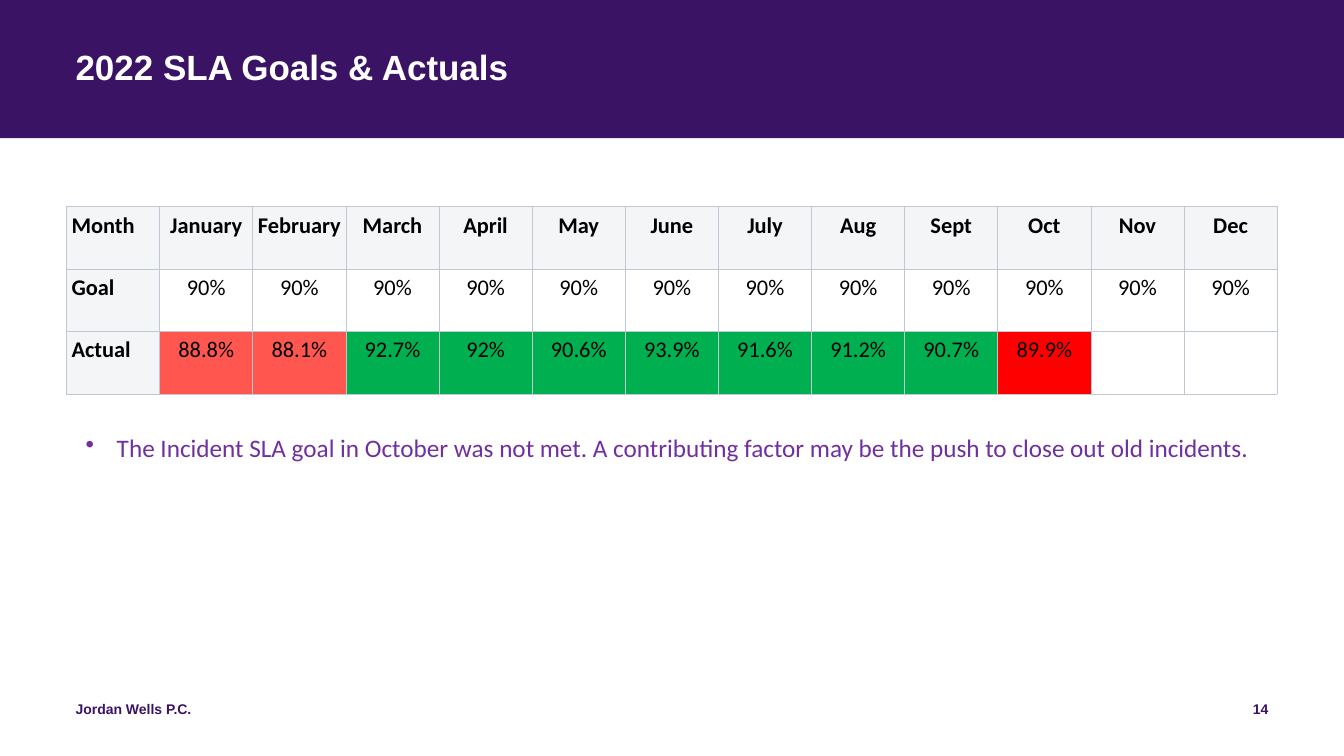
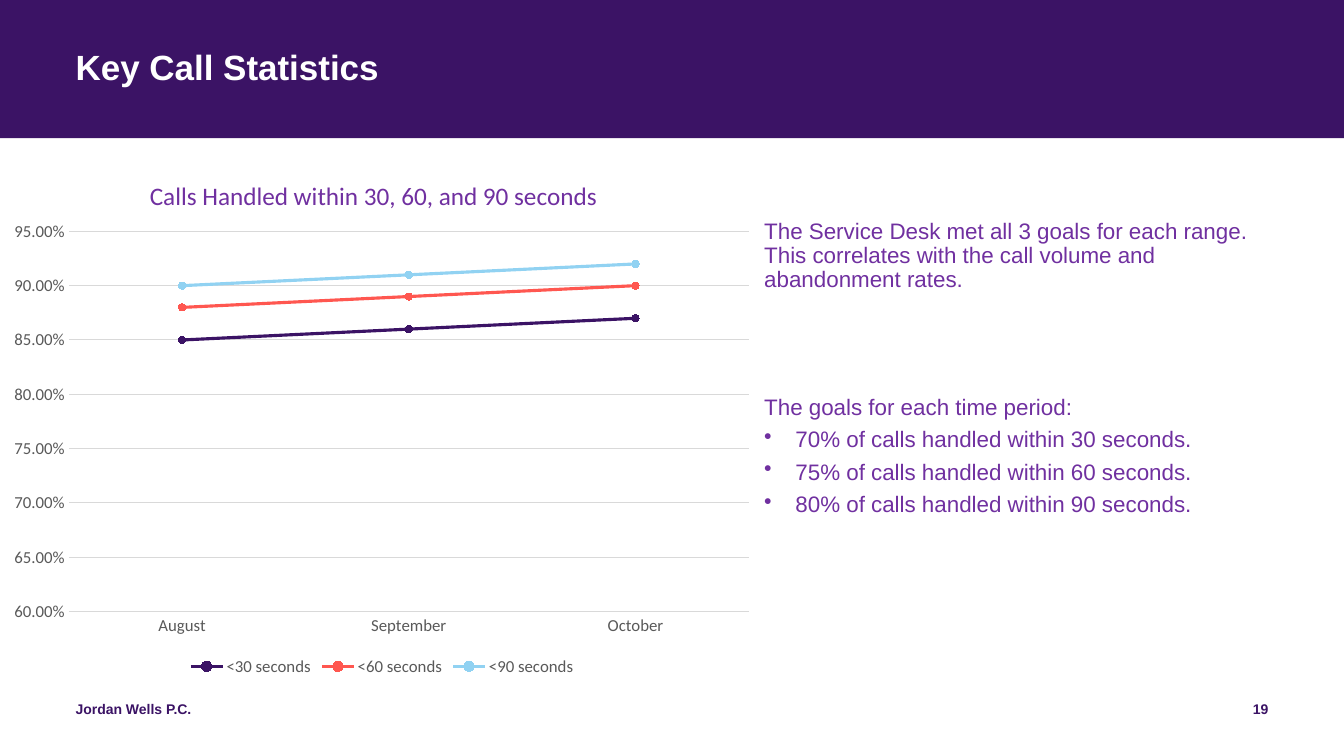
import lxml.etree
import pptx
import pptx.chart.data
import pptx.dml.color
import pptx.enum.chart
import pptx.enum.shapes
import pptx.enum.text
import pptx.oxml
import pptx.oxml.ns
import pptx.util

Inches = pptx.util.Inches
Pt = pptx.util.Pt
RGBColor = pptx.dml.color.RGBColor
Align = pptx.enum.text.PP_ALIGN
qn = pptx.oxml.ns.qn

# Shared look
WIDTH, HEIGHT = 13.33, 7.5
MARGIN = 0.75
CONTENT_WIDTH = WIDTH - 2 * MARGIN
BAND_HEIGHT = 1.37
HEADING_FONT, BODY_FONT = "Arial", "Calibri"
FOOTER_TEXT = "Jordan Wells P.C."

PURPLE = RGBColor(0x3B, 0x13, 0x65)
VIOLET = RGBColor(0x70, 0x30, 0xA0)
CORAL = RGBColor(0xFF, 0x57, 0x50)
SKY = RGBColor(0x91, 0xD2, 0xF2)
GREEN = RGBColor(0x00, 0xB0, 0x50)
RED = RGBColor(0xFF, 0x00, 0x00)
WHITE = RGBColor(0xFF, 0xFF, 0xFF)
BLACK = RGBColor(0x00, 0x00, 0x00)
PALE_GREY = RGBColor(0xF4, 0xF5, 0xF7)
BORDER_GREY = RGBColor(0xC1, 0xC7, 0xD0)
GRID_GREY = RGBColor(0xD9, 0xD9, 0xD9)
AXIS_GREY = RGBColor(0x59, 0x59, 0x59)


def style_font(font, name, size, color, bold=False):
    font.name = name
    font.size = Pt(size)
    font.color.rgb = color
    font.bold = bold


def add_run(paragraph, text, *style):
    run = paragraph.add_run()
    run.text = text
    style_font(run.font, *style)


def add_text_frame(slide, box, inset=(0, 0)):
    text_frame = slide.shapes.add_textbox(*map(Inches, box)).text_frame
    text_frame.word_wrap = True
    text_frame.margin_left = text_frame.margin_right = Inches(inset[0])
    text_frame.margin_top = text_frame.margin_bottom = Inches(inset[1])
    return text_frame


def add_bullet(paragraph):
    properties = paragraph._p.get_or_add_pPr()
    properties.set("marL", str(Inches(0.31)))
    properties.set("indent", str(-Inches(0.31)))
    bullet = lxml.etree.SubElement(properties, qn("a:buChar"))
    bullet.set("char", "•")


def add_frame(presentation, title, number):
    """Blank slide with the title band and footer."""
    slide = presentation.slides.add_slide(presentation.slide_layouts[6])

    band = slide.shapes.add_shape(
        pptx.enum.shapes.MSO_SHAPE.RECTANGLE,
        0, 0, Inches(WIDTH), Inches(BAND_HEIGHT))
    band.shadow.inherit = False
    band.fill.solid()
    band.fill.fore_color.rgb = PURPLE
    band.line.fill.background()

    heading = add_text_frame(slide, (MARGIN, 0.5, CONTENT_WIDTH, 0.81))
    heading.paragraphs[0].line_spacing = 0.9
    add_run(heading.paragraphs[0], title, HEADING_FONT, 25, WHITE, True)

    # Footer: firm on the left, page number on the right
    footers = ((FOOTER_TEXT, MARGIN, 4.5, Align.LEFT),
               (str(number), WIDTH - MARGIN - 3, 3, Align.RIGHT))
    for text, left, width, alignment in footers:
        paragraph = add_text_frame(slide, (left, 6.95, width, 0.4)).paragraphs[0]
        paragraph.alignment = alignment
        add_run(paragraph, text, HEADING_FONT, 10, PURPLE, True)
    return slide


def add_borders(cell):
    properties = cell._tc.get_or_add_tcPr()
    for index, side in enumerate(("lnL", "lnR", "lnT", "lnB")):
        line = pptx.oxml.parse_xml(
            f'<a:{side} {pptx.oxml.ns.nsdecls("a")} w="{Pt(0.5)}"><a:solidFill>'
            f'<a:srgbClr val="{BORDER_GREY}"/></a:solidFill></a:{side}>')
        properties.insert(index, line)


def add_sla_table(slide, box, rows, actual_fills):
    left, top, width, height = box
    columns = len(rows[0])
    table = slide.shapes.add_table(
        len(rows), columns, *map(Inches, box)).table
    table.first_row = table.horz_banding = False
    for column in table.columns:
        column.width = Inches(width / columns)
    for row in table.rows:
        row.height = Inches(height / len(rows))

    for row_index, values in enumerate(rows):
        for column_index, value in enumerate(values):
            cell = table.cell(row_index, column_index)
            cell.margin_left = cell.margin_right = Inches(0.05)
            cell.margin_top = cell.margin_bottom = Inches(0.05)
            is_header = row_index == 0 or column_index == 0
            fill = PALE_GREY if is_header else None
            if row_index == len(rows) - 1 and not is_header:
                fill = actual_fills[column_index - 1]
            if fill is None:
                cell.fill.background()
            else:
                cell.fill.solid()
                cell.fill.fore_color.rgb = fill
            add_borders(cell)
            if value:
                paragraph = cell.text_frame.paragraphs[0]
                paragraph.alignment = Align.CENTER if column_index else Align.LEFT
                add_run(paragraph, value, BODY_FONT, 16, BLACK, is_header)


def set_layout(parent, index, **places):
    """Place a chart part by shares of the chart's size."""
    for old_layout in parent.findall(qn("c:layout")):
        parent.remove(old_layout)
    layout = pptx.oxml.parse_xml(
        f'<c:layout {pptx.oxml.ns.nsdecls("c")}><c:manualLayout/></c:layout>')
    parent.insert(index, layout)
    settings = {"xMode": "edge", "yMode": "edge", **places}
    if "w" in places:
        settings = {"layoutTarget": "inner", **settings}
    for name, value in settings.items():
        lxml.etree.SubElement(layout[0], qn(f"c:{name}")).set("val", str(value))


def style_chart_axes(chart):
    no_tick = pptx.enum.chart.XL_TICK_MARK.NONE
    for axis in (chart.category_axis, chart.value_axis):
        axis.major_tick_mark = axis.minor_tick_mark = no_tick
        style_font(axis.tick_labels.font, BODY_FONT, 12, AXIS_GREY)

    values = chart.value_axis
    values.minimum_scale, values.maximum_scale = 0.6, 0.95
    values.major_unit = 0.05
    values.tick_labels.number_format = "0.00%"
    values.tick_labels.number_format_is_linked = False
    values.format.line.fill.background()
    for line in (chart.category_axis.format.line, values.major_gridlines.format.line):
        line.color.rgb = GRID_GREY
        line.width = Pt(0.75)


def add_calls_chart(slide, box, title, months, series_data):
    data = pptx.chart.data.CategoryChartData(number_format="0.00%")
    data.categories = months
    for name, values, _ in series_data:
        data.add_series(name, values)
    chart = slide.shapes.add_chart(
        pptx.enum.chart.XL_CHART_TYPE.LINE_MARKERS,
        *map(Inches, box), data).chart
    style_font(chart.font, BODY_FONT, 10, BLACK)

    chart.has_title = True
    add_run(chart.chart_title.text_frame.paragraphs[0],
            title, BODY_FONT, 18, VIOLET)
    chart.chart_title.include_in_layout = False
    set_layout(chart.chart_title._element, 1, x=0.19, y=0.04)
    set_layout(chart._chartSpace.chart.plotArea, 0, x=0.09, y=0.15, w=0.89, h=0.72)
    style_chart_axes(chart)

    chart.has_legend = True
    chart.legend.position = pptx.enum.chart.XL_LEGEND_POSITION.BOTTOM
    chart.legend.include_in_layout = False
    style_font(chart.legend.font, BODY_FONT, 12, AXIS_GREY)

    chart.plots[0].vary_by_categories = False
    for series, (_, _, color) in zip(chart.plots[0].series, series_data):
        series.smooth = False
        series.format.line.color.rgb = color
        series.format.line.width = Pt(2.25)
        series.marker.style = pptx.enum.chart.XL_MARKER_STYLE.CIRCLE
        series.marker.size = 5
        series.marker.format.fill.solid()
        series.marker.format.fill.fore_color.rgb = color
        series.marker.format.line.color.rgb = color


def add_goal_notes(slide, box, summary, heading, goals):
    text_frame = add_text_frame(slide, box)
    for index, text in enumerate((summary, heading, *goals)):
        paragraph = text_frame.add_paragraph() if index else text_frame.paragraphs[0]
        paragraph.line_spacing = 0.9
        paragraph.space_after = Pt(6)
        if text == heading:
            paragraph.space_before = Pt(68)
        if text in goals:
            add_bullet(paragraph)
        add_run(paragraph, text, HEADING_FONT, 16, VIOLET)


def build_sla_slide(presentation):
    slide = add_frame(presentation, "2022 SLA Goals & Actuals", 14)
    rows = (
        ("Month", "January", "February", "March", "April", "May", "June",
         "July", "Aug", "Sept", "Oct", "Nov", "Dec"),
        ("Goal", *["90%"] * 12),
        ("Actual", "88.8%", "88.1%", "92.7%", "92%", "90.6%", "93.9%",
         "91.6%", "91.2%", "90.7%", "89.9%", "", ""),
    )
    actual_fills = [CORAL] * 2 + [GREEN] * 7 + [RED] + [None] * 2
    add_sla_table(slide, (0.66, 2.05, 12.01, 1.86), rows, actual_fills)

    # Comment under the table
    comment = add_text_frame(slide, (MARGIN, 4.24, CONTENT_WIDTH, 0.4), (0.1, 0.05))
    add_bullet(comment.paragraphs[0])
    add_run(comment.paragraphs[0],
            "The Incident SLA goal in October was not met. A contributing "
            "factor may be the push to close out old incidents.",
            BODY_FONT, 18, VIOLET)


def build_calls_slide(presentation):
    slide = add_frame(presentation, "Key Call Statistics", 19)
    split = WIDTH - MARGIN - 5
    add_goal_notes(
        slide, (split, 2.18, 5, 4.57),
        "The Service Desk met all 3 goals for each range. This correlates "
        "with the call volume and abandonment rates.",
        "The goals for each time period:",
        ("70% of calls handled within 30 seconds.",
         "75% of calls handled within 60 seconds.",
         "80% of calls handled within 90 seconds."))
    add_calls_chart(
        slide, (0, 1.51, split, 5.24),
        "Calls Handled within 30, 60, and 90 seconds",
        ("August", "September", "October"),
        (("<30 seconds", (0.85, 0.86, 0.87), PURPLE),
         ("<60 seconds", (0.88, 0.89, 0.9), CORAL),
         ("<90 seconds", (0.9, 0.91, 0.92), SKY)))


def main():
    presentation = pptx.Presentation()
    presentation.slide_width = Inches(WIDTH)
    presentation.slide_height = Inches(HEIGHT)
    build_sla_slide(presentation)
    build_calls_slide(presentation)
    presentation.save("out.pptx")


if __name__ == "__main__":
    main()
